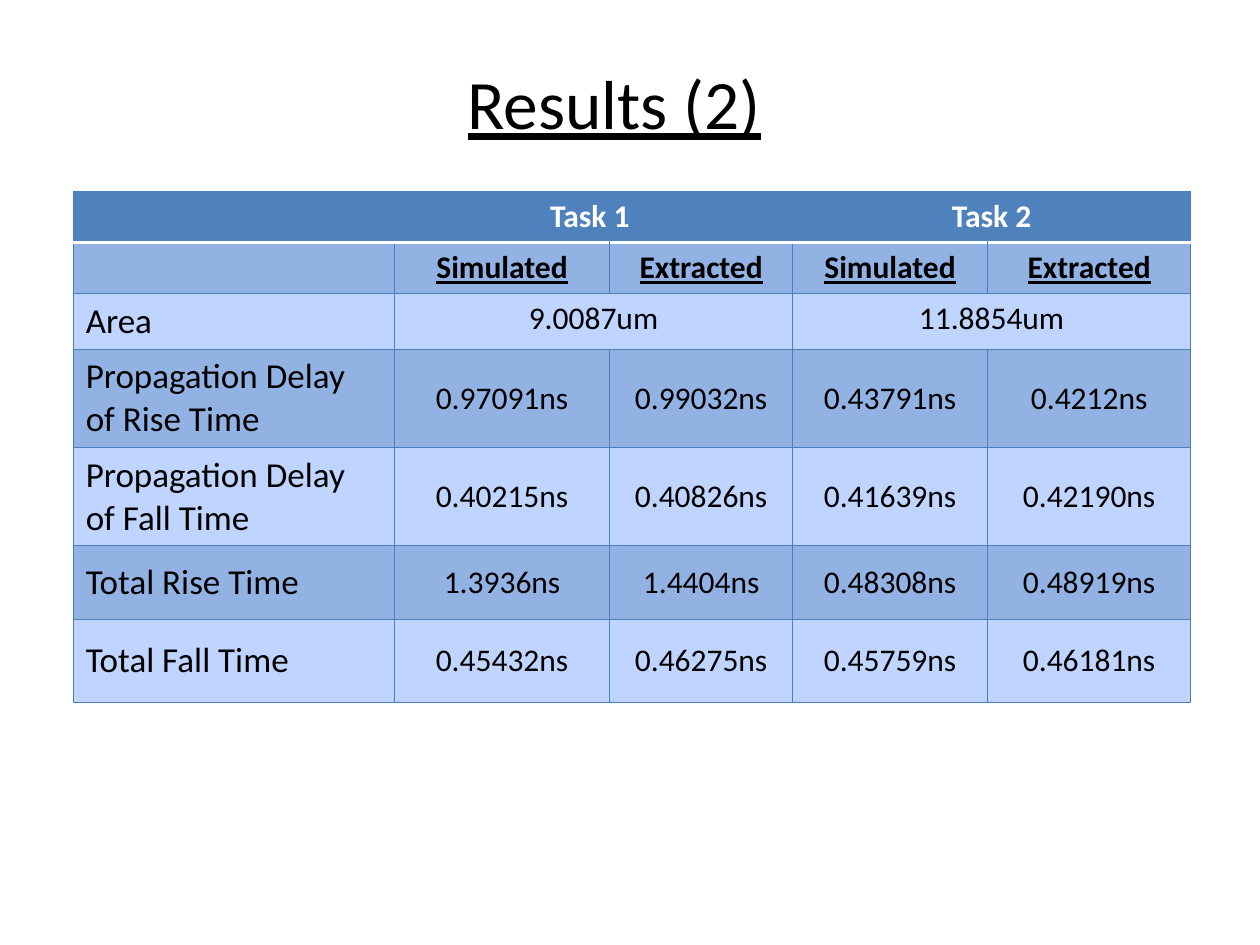
import pptx
import pptx.util
import pptx.dml.color
import pptx.enum.text
from lxml import etree

Pt = pptx.util.Pt
Align = pptx.enum.text.PP_ALIGN
Anchor = pptx.enum.text.MSO_ANCHOR

TITLE = "Results (2)"
ROWS = [
    ("", "Task 1 ", None, "Task 2", None),
    ("", "Simulated", "Extracted", "Simulated", "Extracted"),
    ("Area", "9.0087um", None, "11.8854um", None),
    ("Propagation Delay of Rise Time", "0.97091ns", "0.99032ns", "0.43791ns", "0.4212ns"),
    ("Propagation Delay of Fall Time", "0.40215ns", "0.40826ns", "0.41639ns", "0.42190ns"),
    ("Total Rise Time", "1.3936ns", "1.4404ns", "0.48308ns", "0.48919ns"),
    ("Total Fall Time", "0.45432ns", "0.46275ns", "0.45759ns", "0.46181ns"),
]
WIDTHS = [183.6, 123, 104.5, 111.5, 116]
HEIGHTS = [29.16, 29.16, 31.7, 56.2, 56.2, 42.3, 47]
COLORS = {
    "head": "4F81BD",
    "dark": "93B2E4",
    "light": "BFD4FF",
    "line": "4B7EBC",
    "white": "FFFFFF",
    "black": "000000",
}
FONT = "Calibri"


def color(name):
    return pptx.dml.color.RGBColor.from_string(COLORS[name])


def style(para, size, tone, bold=False, under=False):
    font = para.font
    font.name, font.size = FONT, Pt(size)
    font.bold, font.underline = bold, under
    font.color.rgb = color(tone)


def border(cell, row):
    props = cell._tc.get_or_add_tcPr()
    for spot, side in enumerate("LRTB"):
        rule = (row, side) in ((0, "B"), (1, "T"))
        tone, width = ("white", 2) if rule else ("line", 0.75)
        line = etree.Element(pptx.oxml.ns.qn(f"a:ln{side}"), w=str(Pt(width)))
        fill = etree.SubElement(line, pptx.oxml.ns.qn("a:solidFill"))
        etree.SubElement(fill, pptx.oxml.ns.qn("a:srgbClr"), val=COLORS[tone])
        props.insert(spot, line)


def fill_cell(cell, text, row, col):
    cell.fill.solid()
    cell.fill.fore_color.rgb = color("head" if row == 0 else "dark" if row % 2 else "light")
    border(cell, row)
    label = col == 0
    middle = row > 2 or (row == 2 and label)
    cell.vertical_anchor = Anchor.MIDDLE if middle else Anchor.TOP
    cell.text = text or ""
    para = cell.text_frame.paragraphs[0]
    para.alignment = Align.LEFT if label else Align.CENTER
    size = 20 if label and row > 1 else 18
    style(para, size, "white" if row == 0 else "black", row < 2, row == 1)


def add_grid(slide):
    frame = slide.shapes.add_table(
        len(ROWS), len(WIDTHS), Pt(41.8), Pt(109.4), Pt(sum(WIDTHS)), Pt(sum(HEIGHTS)))
    grid = frame.table
    for col, width in enumerate(WIDTHS):
        grid.columns[col].width = Pt(width)
    for row, texts in enumerate(ROWS):
        grid.rows[row].height = Pt(HEIGHTS[row])
        for col, text in enumerate(texts):
            fill_cell(grid.cell(row, col), text, row, col)
        for col, text in enumerate(texts):
            if text is None:
                grid.cell(row, col - 1).merge(grid.cell(row, col))


def main():
    deck = pptx.Presentation()
    deck.slide_width, deck.slide_height = Pt(720), Pt(540)
    slide = deck.slides.add_slide(deck.slide_layouts[5])
    title = slide.shapes.title
    title.left, title.top = Pt(183.6), Pt(28.8)
    title.width, title.height = Pt(334.8), Pt(59)
    title.text = TITLE
    title.text_frame.vertical_anchor = Anchor.MIDDLE
    para = title.text_frame.paragraphs[0]
    para.alignment = Align.CENTER
    style(para, 39.6, "black", under=True)
    add_grid(slide)
    deck.save("out.pptx")


if __name__ == "__main__":
    main()
